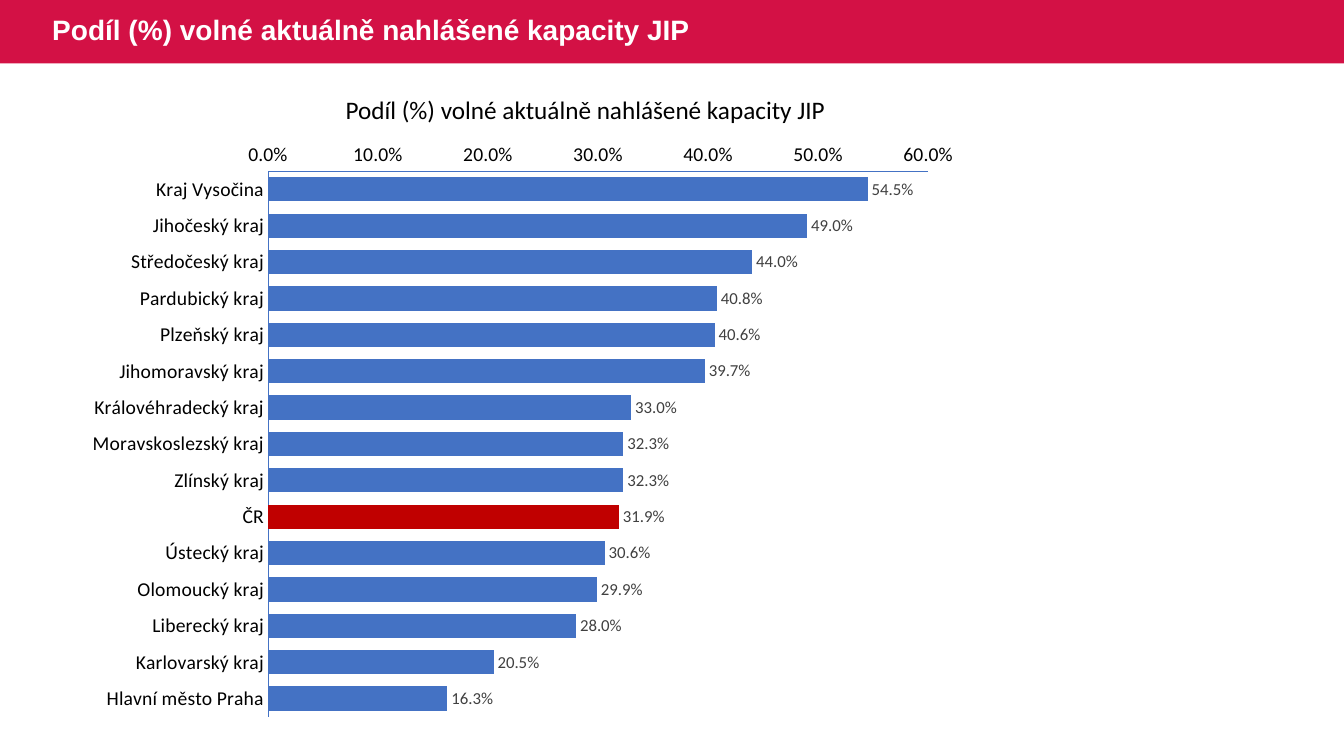
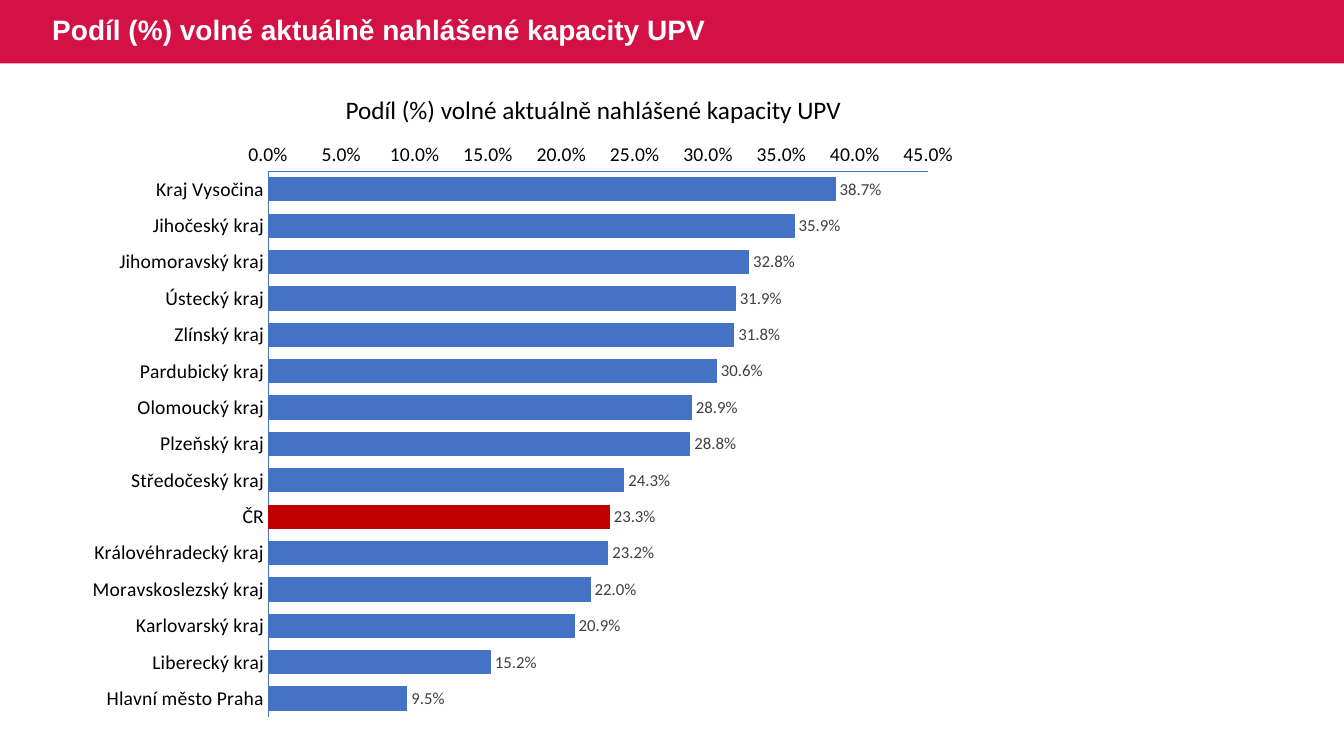
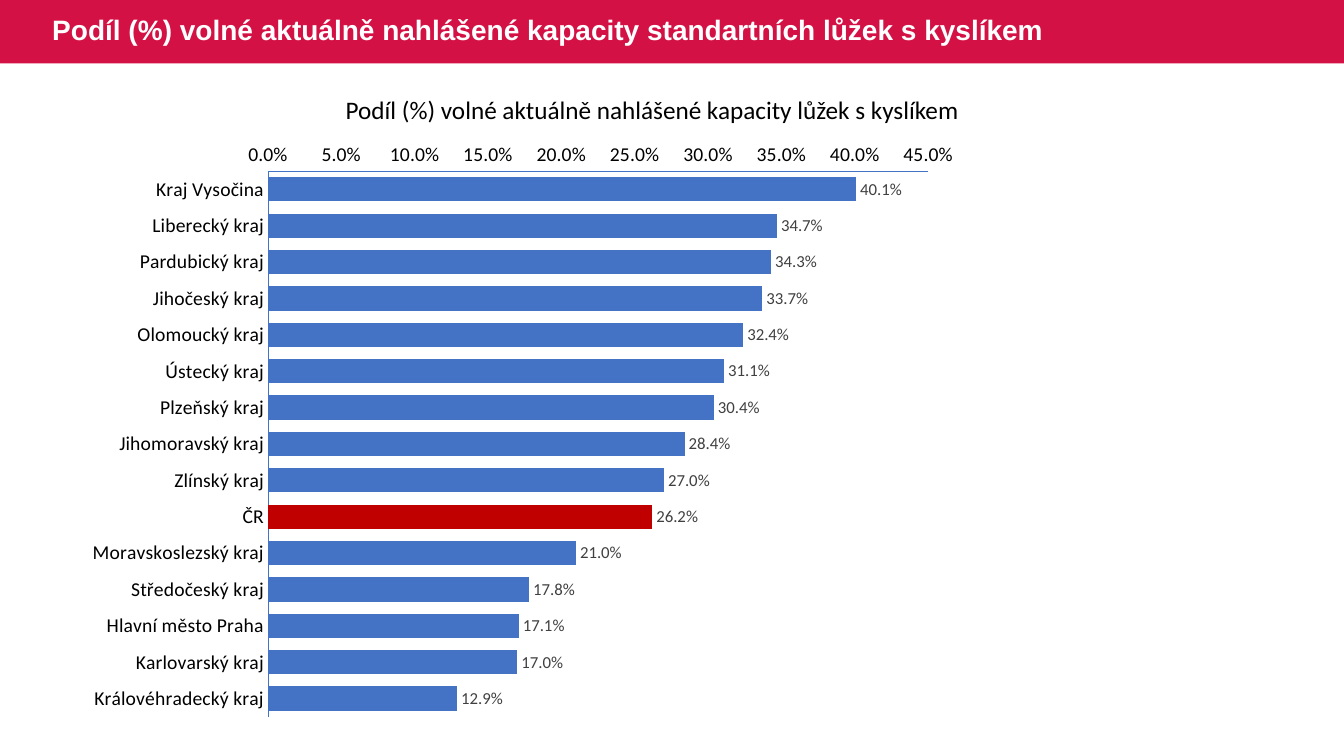
from dataclasses import dataclass

import pptx
import pptx.chart.chart
import pptx.chart.data
import pptx.dml.color
import pptx.enum.chart
import pptx.enum.shapes
import pptx.enum.text
import pptx.slide
import pptx.text.text
import pptx.util
from pptx.util import Inches

CRIMSON = "D31145"
WHITE = "FFFFFF"
BLACK = "000000"
BLUE = "4472C4"
RED = "C00000"
GREY = "404040"

HEADING_FONT = "Arial"
BODY_FONT = "Calibri"
PERCENT = "0.0%"
SLIDE_WIDTH = 13.33
BAND_HEIGHT = 0.63
COUNTRY = "ČR"
TITLE_START = "Podíl (%) volné aktuálně nahlášené kapacity "


@dataclass
class CapacitySlide:
    heading: str
    caption: str
    caption_width: float
    axis_maximum: float
    axis_step: float
    shares: dict[str, float]


CAPACITY_SLIDES = [
    CapacitySlide("JIP", "JIP", 5.13, 0.6, 0.1, {
        "Kraj Vysočina": 0.545,
        "Jihočeský kraj": 0.49,
        "Středočeský kraj": 0.44,
        "Pardubický kraj": 0.408,
        "Plzeňský kraj": 0.406,
        "Jihomoravský kraj": 0.397,
        "Královéhradecký kraj": 0.33,
        "Moravskoslezský kraj": 0.323,
        "Zlínský kraj": 0.323,
        COUNTRY: 0.319,
        "Ústecký kraj": 0.306,
        "Olomoucký kraj": 0.299,
        "Liberecký kraj": 0.28,
        "Karlovarský kraj": 0.205,
        "Hlavní město Praha": 0.163,
    }),
    CapacitySlide("UPV", "UPV", 5.17, 0.45, 0.05, {
        "Kraj Vysočina": 0.387,
        "Jihočeský kraj": 0.359,
        "Jihomoravský kraj": 0.328,
        "Ústecký kraj": 0.319,
        "Zlínský kraj": 0.318,
        "Pardubický kraj": 0.306,
        "Olomoucký kraj": 0.289,
        "Plzeňský kraj": 0.288,
        "Středočeský kraj": 0.243,
        COUNTRY: 0.233,
        "Královéhradecký kraj": 0.232,
        "Moravskoslezský kraj": 0.22,
        "Karlovarský kraj": 0.209,
        "Liberecký kraj": 0.152,
        "Hlavní město Praha": 0.095,
    }),
    CapacitySlide("standartních lůžek s kyslíkem", "lůžek s kyslíkem", 6.35, 0.45, 0.05, {
        "Kraj Vysočina": 0.401,
        "Liberecký kraj": 0.347,
        "Pardubický kraj": 0.343,
        "Jihočeský kraj": 0.337,
        "Olomoucký kraj": 0.324,
        "Ústecký kraj": 0.311,
        "Plzeňský kraj": 0.304,
        "Jihomoravský kraj": 0.284,
        "Zlínský kraj": 0.27,
        COUNTRY: 0.262,
        "Moravskoslezský kraj": 0.21,
        "Středočeský kraj": 0.178,
        "Hlavní město Praha": 0.171,
        "Karlovarský kraj": 0.17,
        "Královéhradecký kraj": 0.129,
    }),
]


def color(value: str) -> pptx.dml.color.RGBColor:
    return pptx.dml.color.RGBColor.from_string(value)


def style_font(font: pptx.text.text.Font, name: str, size: float, hue: str, bold: bool = False) -> None:
    font.name = name
    font.size = pptx.util.Pt(size)
    font.color.rgb = color(hue)
    font.bold = bold


def add_heading(page: pptx.slide.Slide, text: str) -> None:
    band = page.shapes.add_shape(
        pptx.enum.shapes.MSO_SHAPE.RECTANGLE, 0, 0, Inches(SLIDE_WIDTH), Inches(BAND_HEIGHT))
    band.shadow.inherit = False
    band.fill.solid()
    band.fill.fore_color.rgb = color(CRIMSON)
    band.line.fill.background()

    box = page.shapes.add_textbox(Inches(0.42), 0, Inches(11.56), Inches(BAND_HEIGHT))
    frame = box.text_frame
    frame.word_wrap = True
    frame.vertical_anchor = pptx.enum.text.MSO_ANCHOR.MIDDLE
    para = frame.paragraphs[0]
    para.text = text
    para.line_spacing = 0.9
    style_font(para.font, HEADING_FONT, 20, WHITE, bold=True)


def add_caption(page: pptx.slide.Slide, text: str, width: float) -> None:
    box = page.shapes.add_textbox(Inches(3.33), Inches(0.89), Inches(width), Inches(0.4))
    frame = box.text_frame
    frame.word_wrap = False
    frame.auto_size = pptx.enum.text.MSO_AUTO_SIZE.SHAPE_TO_FIT_TEXT
    para = frame.paragraphs[0]
    para.text = text
    style_font(para.font, BODY_FONT, 18, BLACK)


def style_axes(chart: pptx.chart.chart.Chart, maximum: float, step: float) -> None:
    for axis in (chart.category_axis, chart.value_axis):
        axis.has_major_gridlines = False
        axis.major_tick_mark = pptx.enum.chart.XL_TICK_MARK.NONE
        axis.minor_tick_mark = pptx.enum.chart.XL_TICK_MARK.NONE
        axis.format.line.color.rgb = color(BLUE)
        axis.format.line.width = pptx.util.Pt(0.75)
        style_font(axis.tick_labels.font, BODY_FONT, 14, BLACK)
    chart.category_axis.reverse_order = True
    chart.value_axis.minimum_scale = 0
    chart.value_axis.maximum_scale = maximum
    chart.value_axis.major_unit = step
    chart.value_axis.tick_labels.number_format = PERCENT
    chart.value_axis.tick_labels.number_format_is_linked = False


def add_share_chart(page: pptx.slide.Slide, content: CapacitySlide) -> None:
    regions = list(content.shares)
    data = pptx.chart.data.CategoryChartData(number_format=PERCENT)
    data.categories = regions
    data.add_series("Series 1", content.shares.values())
    chart = page.shapes.add_chart(
        pptx.enum.chart.XL_CHART_TYPE.BAR_CLUSTERED,
        Inches(0.74), Inches(1.3), Inches(8.89), Inches(5.93), data).chart
    chart.has_title = False
    chart.has_legend = False
    style_font(chart.font, BODY_FONT, 10, BLACK)
    style_axes(chart, content.axis_maximum, content.axis_step)

    plot = chart.plots[0]
    plot.gap_width = 50
    plot.vary_by_categories = False
    series = plot.series[0]
    country_bar = series.points[regions.index(COUNTRY)]
    for bar, hue in ((series, BLUE), (country_bar, RED)):
        bar.format.fill.solid()
        bar.format.fill.fore_color.rgb = color(hue)

    labels = series.data_labels
    labels.show_value = True
    labels.position = pptx.enum.chart.XL_LABEL_POSITION.OUTSIDE_END
    labels.number_format = PERCENT
    labels.number_format_is_linked = False
    style_font(labels.font, BODY_FONT, 12, GREY)


def main() -> None:
    deck = pptx.Presentation()
    deck.slide_width = Inches(SLIDE_WIDTH)
    deck.slide_height = Inches(7.5)
    blank = deck.slide_layouts[6]
    for content in CAPACITY_SLIDES:
        page = deck.slides.add_slide(blank)
        add_heading(page, TITLE_START + content.heading)
        add_share_chart(page, content)
        add_caption(page, TITLE_START + content.caption, content.caption_width)
    deck.save("out.pptx")


if __name__ == "__main__":
    main()
